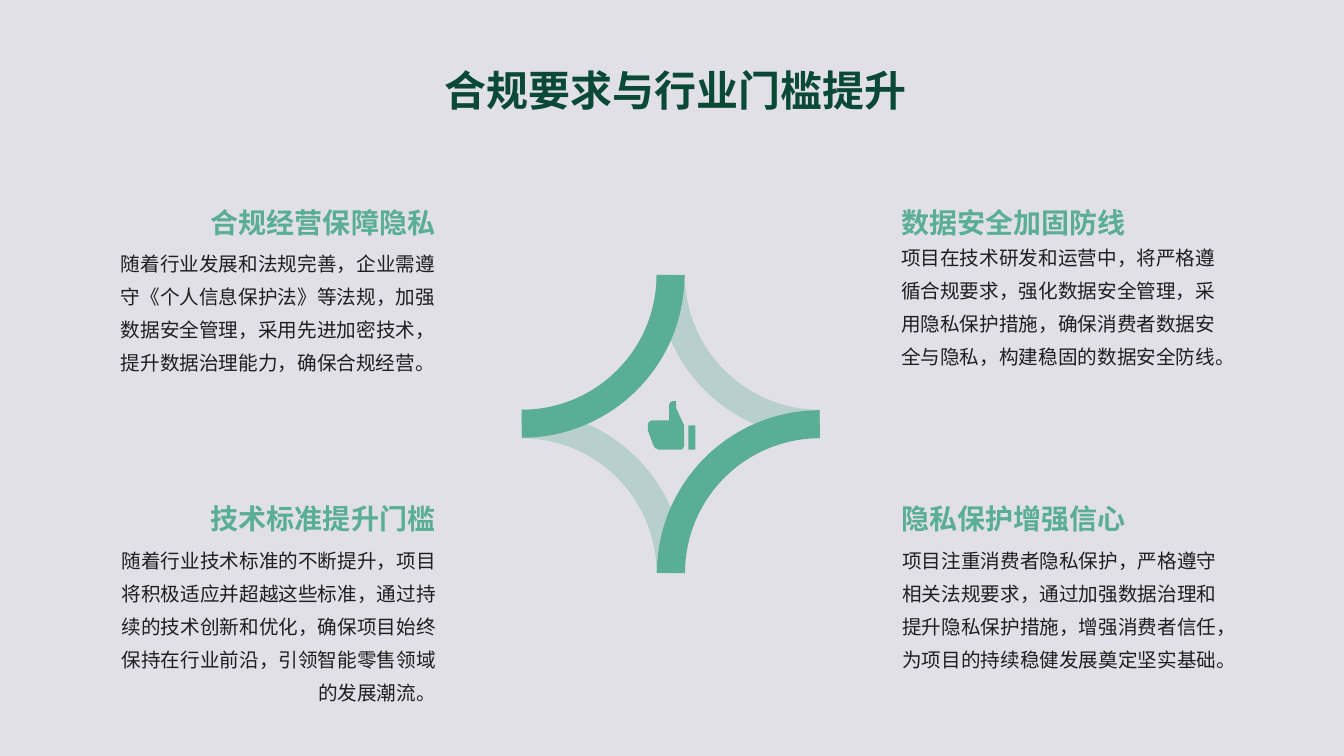
from lxml.etree import SubElement
from pptx import Presentation
from pptx.dml.color import RGBColor
from pptx.enum.shapes import MSO_SHAPE
from pptx.enum.text import MSO_ANCHOR, MSO_AUTO_SIZE, PP_ALIGN
from pptx.oxml.ns import qn
from pptx.util import Cm, Pt

FONT = "Noto Sans CJK SC"
GREEN, DARK_GREEN, INK, PAPER = "59AE93", "094935", "1F1F1F", "E1E0E7"
TEXT_INSETS = (0.18, 0.1, 0.18, 0.1)
TITLE_INSETS = (0.36, 0.36, 0.16, 0.36)
LEFT, RIGHT = PP_ALIGN.LEFT, PP_ALIGN.RIGHT

TOPICS = [
    (2.82, 4.7, 2.82, 6.02, RIGHT, "合规经营保障隐私",
     "随着行业发展和法规完善，企业需遵守《个人信息保护法》等法规，加强数据安全管理，采用先进加密技术，提升数据治理能力，确保合规经营。"),
    (2.82, 12.17, 2.84, 13.49, RIGHT, "技术标准提升门槛",
     "随着行业技术标准的不断提升，项目将积极适应并超越这些标准，通过持续的技术创新和优化，确保项目始终保持在行业前沿，引领智能零售领域的发展潮流。"),
    (22.53, 4.7, 22.53, 5.87, LEFT, "数据安全加固防线",
     "项目在技术研发和运营中，将严格遵循合规要求，强化数据安全管理，采用隐私保护措施，确保消费者数据安全与隐私，构建稳固的数据安全防线。"),
    (22.53, 12.17, 22.56, 13.49, LEFT, "隐私保护增强信心",
     "项目注重消费者隐私保护，严格遵守相关法规要求，通过加强数据治理和提升隐私保护措施，增强消费者信任，为项目的持续稳健发展奠定坚实基础。"),
]


def color(value):
    return RGBColor.from_string(value)


def rounded(start, corner, end, steps=8):
    points = []
    for step in range(steps + 1):
        t = step / steps
        points.append(tuple((1 - t) ** 2 * a + 2 * t * (1 - t) * b + t * t * c
                            for a, b, c in zip(start, corner, end)))
    return points


class SlideBuilder:
    def __init__(self, deck):
        self.page = deck.slides.add_slide(deck.slide_layouts[5])
        fill = self.page.background.fill
        fill.solid()
        fill.fore_color.rgb = color(PAPER)

    def set_text(self, box, text, size, tint, align, spacing, bold, anchor, insets):
        frame = box.text_frame
        frame.text = text
        frame.word_wrap = True
        frame.auto_size = MSO_AUTO_SIZE.NONE
        frame.vertical_anchor = anchor
        (frame.margin_left, frame.margin_top,
         frame.margin_right, frame.margin_bottom) = map(Cm, insets)
        para = frame.paragraphs[0]
        para.alignment = align
        para.line_spacing = spacing
        para.space_before = Pt(0)
        span = para.runs[0]
        span.font.size, span.font.bold, span.font.name = Pt(size), bold, FONT
        span.font.color.rgb = color(tint)
        SubElement(span._r.get_or_add_rPr(), qn("a:ea")).set("typeface", FONT)

    def title(self, text):
        box = self.page.shapes.title
        box.left, box.top, box.width, box.height = map(Cm, (1.32, 0.74, 31.22, 2.54))
        self.set_text(box, text, 30, DARK_GREEN, PP_ALIGN.CENTER, 1.4, True,
                      MSO_ANCHOR.MIDDLE, TITLE_INSETS)

    def heading(self, left, top, align, text):
        box = self.page.shapes.add_textbox(Cm(left), Cm(top), Cm(8.33), Cm(1.37))
        self.set_text(box, text, 20, GREEN, align, 1.5, True,
                      MSO_ANCHOR.MIDDLE, TEXT_INSETS)

    def body(self, left, top, align, text):
        box = self.page.shapes.add_textbox(Cm(left), Cm(top), Cm(8.33), Cm(4.32))
        self.set_text(box, text, 14, INK, align, 1.4, False,
                      MSO_ANCHOR.TOP, TEXT_INSETS)

    def star(self, left, top, size, step):
        group = self.page.shapes.add_group_shape()
        for column, row in ((0, 1), (1, 1), (0, 0), (1, 0)):
            arc = group.shapes.add_shape(
                MSO_SHAPE.ARC, Cm(left + column * step), Cm(top + row * step),
                Cm(size), Cm(size))
            arc.shadow.inherit = False
            arc.fill.background()
            arc.line.width = Pt(20)
            arc.line.color.rgb = color(GREEN)
            properties = arc._element.spPr
            frame = properties.find(qn("a:xfrm"))
            if column == 1:
                frame.set("flipH", "1")
            if row == 0:
                frame.set("flipV", "1")
            if column != row:
                tint = next(properties.iter(qn("a:srgbClr")))
                SubElement(tint, qn("a:alpha")).set("val", "30000")

    def thumb(self, left, top):
        hand = [
            (28, 0), (28, 7), (36, 24),
            *rounded((36, 43), (36, 48), (31, 48)),
            *rounded((12, 48), (7, 48), (5, 43)),
            (0, 29),
            *rounded((0, 24), (0, 19), (5, 19)),
            (21, 19),
            *rounded((21, 5), (21, 0), (26, 0)),
        ]
        cuff = [(40, 24), (47, 24), (47, 48), (40, 48)]
        builder = self.page.shapes.build_freeform(*hand[0], scale=Cm(0.0254))
        builder.add_line_segments(hand[1:], close=True)
        builder.move_to(*cuff[0])
        builder.add_line_segments(cuff[1:], close=True)
        icon = builder.convert_to_shape(Cm(left), Cm(top))
        icon.shadow.inherit = False
        icon.fill.solid()
        icon.fill.fore_color.rgb = color(GREEN)
        icon.line.fill.background()


def main():
    deck = Presentation()
    deck.slide_width, deck.slide_height = Cm(33.87), Cm(19.05)
    slide = SlideBuilder(deck)
    slide.title("合规要求与行业门槛提升")
    for head_left, head_top, body_left, body_top, align, head, text in TOPICS:
        slide.heading(head_left, head_top, align, head)
        slide.body(body_left, body_top, align, text)
    slide.star(left=9.4, top=3.18, size=7.5, step=7.51)
    slide.thumb(16.33, 10.11)
    deck.save("out.pptx")


if __name__ == "__main__":
    main()
